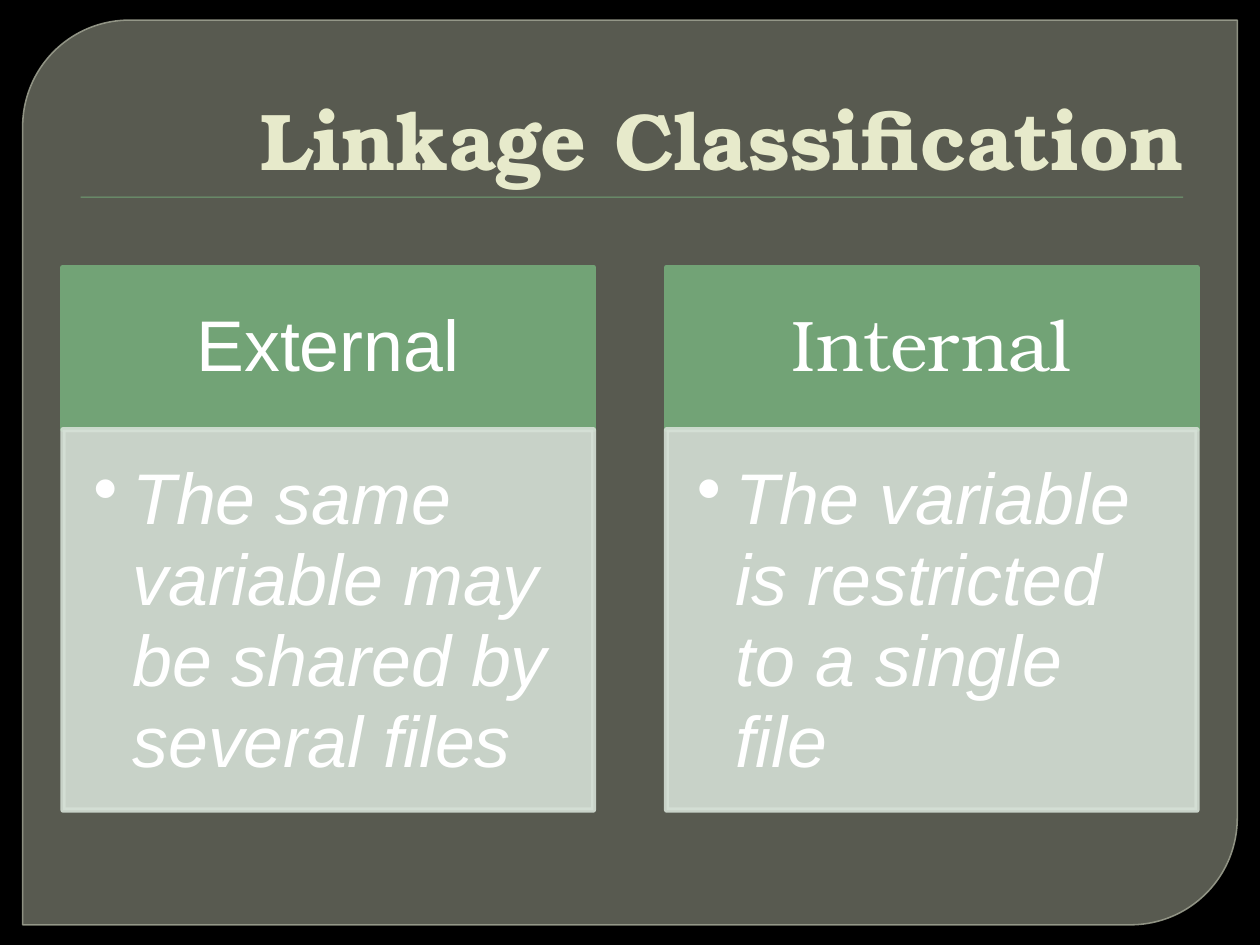
from lxml import etree
from pptx import Presentation
from pptx.dml.color import RGBColor
from pptx.enum.shapes import MSO_SHAPE
from pptx.enum.text import MSO_ANCHOR, PP_ALIGN
from pptx.oxml.ns import qn
from pptx.util import Inches, Pt

RECT = MSO_SHAPE.RECTANGLE
ROUND_DIAGONAL = MSO_SHAPE.ROUND_2_DIAG_RECTANGLE
TOP, MIDDLE, BOTTOM = MSO_ANCHOR.TOP, MSO_ANCHOR.MIDDLE, MSO_ANCHOR.BOTTOM
LEFT, CENTER, RIGHT = PP_ALIGN.LEFT, PP_ALIGN.CENTER, PP_ALIGN.RIGHT

COLORS = {
    "background": "000000",
    "panel": "888B7B",
    "panel_line": "9DA090",
    "accent": "72A376",
    "body": "D5E0D6",
    "title": "E7EACB",
    "text": "FFFFFF",
}
SANS = "Arial"
SERIF = "TeX Gyre Bonum"


class SlideBuilder:
    def __init__(self, prs):
        self.slide = prs.slides.add_slide(prs.slide_layouts[5])
        self.paint(self.slide.background.fill, "background")

    def paint(self, fill, color, alpha=100):
        fill.solid()
        fill.fore_color.rgb = RGBColor.from_string(COLORS[color])
        if alpha < 100:
            clr = fill._xPr.find(qn("a:solidFill"))[0]
            etree.SubElement(clr, qn("a:alpha"), val=str(alpha * 1000))

    def box(self, kind, x, y, w, h, fill, alpha=100, line=None, width=0, line_alpha=100):
        sp = self.slide.shapes.add_shape(kind, Inches(x), Inches(y), Inches(w), Inches(h))
        sp.shadow.inherit = False
        self.paint(sp.fill, fill, alpha)
        if line:
            sp.line.width = Pt(width)
            self.paint(sp.line.fill, line, line_alpha)
        else:
            sp.line.fill.background()
        return sp

    def label(self, sp, text, size, font, color, align, anchor, insets,
              spacing=1.0, bold=False, italic=False):
        tf = sp.text_frame
        tf.text = text
        tf.word_wrap = True
        tf.vertical_anchor = anchor
        tf.margin_left, tf.margin_top, tf.margin_right, tf.margin_bottom = map(Inches, insets)
        p = tf.paragraphs[0]
        p.alignment = align
        p.line_spacing = spacing
        f = p.runs[0].font
        f.size, f.name, f.bold, f.italic = Pt(size), font, bold, italic
        f.color.rgb = RGBColor.from_string(COLORS[color])
        return p

    def title(self, text, x, y, w, h):
        sp = self.slide.shapes.title
        sp.left, sp.top, sp.width, sp.height = map(Inches, (x, y, w, h))
        self.slide.shapes._spTree.append(sp._element)
        self.label(sp, text, 46, SERIF, "title", RIGHT, BOTTOM, (0.1, 0.05, 0.1, 0.05), bold=True)

    def bullet(self, p, indent):
        pPr = p._p.get_or_add_pPr()
        pPr.set("marL", str(Inches(indent)))
        pPr.set("indent", str(-Inches(indent)))
        etree.SubElement(pPr, qn("a:buChar"), char="•")

    def column(self, x, y, w, heading, font, text):
        head_h, body_h = 1.29, 3.02
        head = self.box(RECT, x, y, w, head_h, "accent", line="accent", width=3)
        self.label(head, heading, 41, font, "text", CENTER, MIDDLE,
                   (0.32, 0.18, 0.32, 0.18), spacing=0.9)
        body = self.box(RECT, x, y + head_h, w, body_h, "body", 90, "body", 3, 90)
        p = self.label(body, text, 41, SANS, "text", LEFT, TOP,
                       (0.24, 0.24, 0.32, 0.36), spacing=0.94, italic=True)
        self.bullet(p, 0.31)


prs = Presentation()
prs.slide_width, prs.slide_height = Inches(10), Inches(7.5)

s = SlideBuilder(prs)
panel = s.box(ROUND_DIAGONAL, 0.18, 0.16, 9.64, 7.18, "panel", 65, "panel_line", 0.87, 88)
panel.adjustments[0] = 0.118
panel.adjustments[1] = 0
s.box(RECT, 0.64, 1.56, 8.75, 0.01, "accent")
s.title("Linkage Classification", 0.5, 0.28, 9, 1.25)

columns = [
    ("External", SANS, "The same variable may be shared by several files"),
    ("Internal", SERIF, "The variable is restricted to a single file"),
]
for i, (heading, font, text) in enumerate(columns):
    s.column(0.5 + i * 4.79, 2.12, 4.21, heading, font, text)

prs.save("out.pptx")
